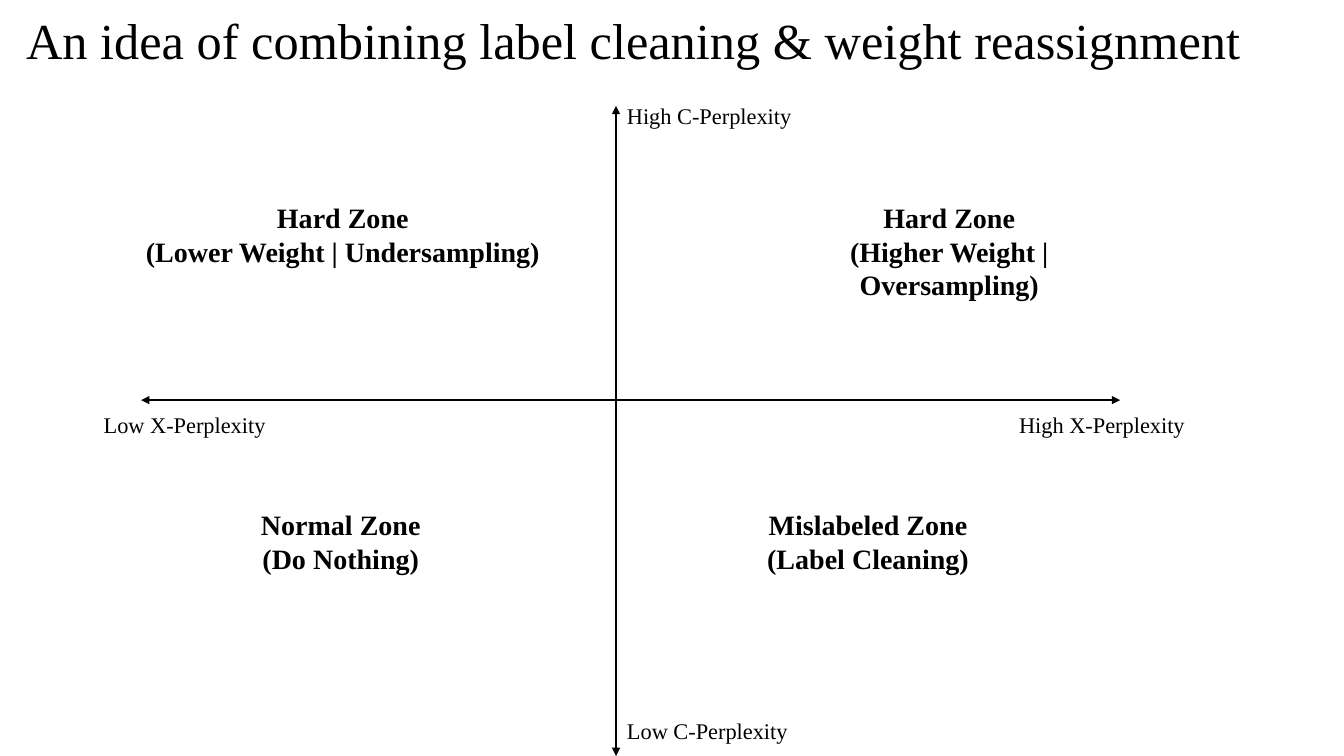
from lxml import etree
from pptx import Presentation
from pptx.dml.color import RGBColor
from pptx.enum import shapes, text
from pptx.oxml import ns
from pptx.util import Inches, Pt

FONT = "Times New Roman"
COLORS = {"ink": "000000", "background": "FFFFFF"}

TITLE = "An idea of combining label cleaning & weight reassignment"
TITLE_BOX = (0.16, -0.3, 12.46, 1.45)

# Axis ends: left, top, right, bottom
AXES = [(1.4, 3.97, 11.11, 3.97), (6.11, 1.05, 6.11, 7.5)]

LABEL_SIZE = (2.34, 0.37)
AXIS_LABELS = [
    ("High X-Perplexity", 10.01, 4.03),
    ("Low X-Perplexity", 0.93, 4.03),
    ("High C-Perplexity", 6.12, 0.96),
    ("Low C-Perplexity", 6.12, 7.07),
]

ZONE_HEIGHT = 0.77
UPPER, LOWER = 1.94, 4.99
# Zone lines, left, top, width
ZONES = [
    (("Normal Zone", "(Do Nothing)"), 2.21, LOWER, 2.34),
    (("Mislabeled Zone", "(Label Cleaning)"), 7.44, LOWER, 2.34),
    (("Hard Zone", "(Higher Weight | Oversampling)"), 7.44, UPPER, 3.95),
    (("Hard Zone", "(Lower Weight | Undersampling)"), 1.34, UPPER, 4.12),
]


def color(name):
    return RGBColor.from_string(COLORS[name])


def add_text(slide, lines, box, size, bold=False, align=text.PP_ALIGN.LEFT,
             anchor=text.MSO_ANCHOR.TOP, line_spacing=1.0):
    frame = slide.shapes.add_textbox(*map(Inches, box)).text_frame
    frame.word_wrap = True
    frame.vertical_anchor = anchor
    for index, line in enumerate(lines):
        paragraph = frame.add_paragraph() if index else frame.paragraphs[0]
        paragraph.alignment = align
        paragraph.line_spacing = line_spacing
        run = paragraph.add_run()
        run.text = line
        run.font.name = FONT
        run.font.size = Pt(size)
        run.font.bold = bold
        run.font.color.rgb = color("ink")


def add_axis(slide, ends):
    """Draw a straight line with an arrowhead at both ends."""
    axis = slide.shapes.add_connector(
        shapes.MSO_CONNECTOR.STRAIGHT, *map(Inches, ends))
    axis.line.color.rgb = color("ink")
    axis.line.width = Pt(1.25)
    properties = axis.element.spPr
    line = properties.find(ns.qn("a:ln"))
    for end in ("a:headEnd", "a:tailEnd"):
        etree.SubElement(line, ns.qn(end), type="triangle")
    etree.SubElement(properties, ns.qn("a:effectLst"))


def main():
    presentation = Presentation()
    presentation.slide_width = Inches(13.33)
    presentation.slide_height = Inches(7.5)
    slide = presentation.slides.add_slide(presentation.slide_layouts[6])
    slide.background.fill.solid()
    slide.background.fill.fore_color.rgb = color("background")

    add_text(slide, [TITLE], TITLE_BOX, 36,
             anchor=text.MSO_ANCHOR.MIDDLE, line_spacing=0.9)
    for ends in AXES:
        add_axis(slide, ends)
    for label, left, top in AXIS_LABELS:
        add_text(slide, [label], (left, top, *LABEL_SIZE), 16)
    for lines, left, top, width in ZONES:
        add_text(slide, lines, (left, top, width, ZONE_HEIGHT), 20,
                 bold=True, align=text.PP_ALIGN.CENTER)

    presentation.save("out.pptx")


if __name__ == "__main__":
    main()
